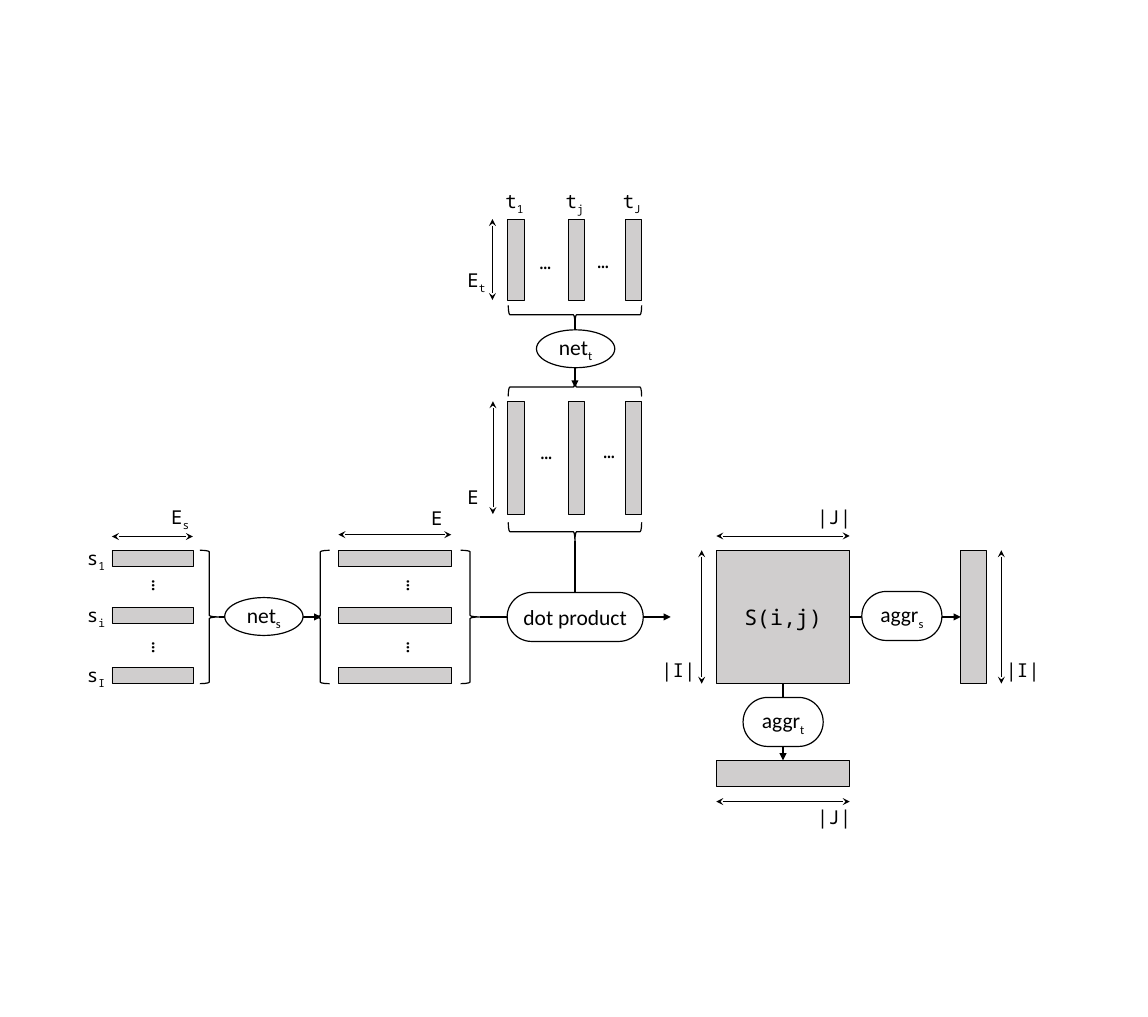
from lxml import etree
from pptx import Presentation
from pptx import util as u
from pptx.dml.color import RGBColor
from pptx.enum import shapes, text
from pptx.oxml import ns

SHAPE = shapes.MSO_SHAPE
BLACK, WHITE, GREY = "000000", "FFFFFF", "D0CECE"
SANS, MONO = "Calibri", "Noto Sans Mono"


def color(value):
    return RGBColor.from_string(value)


class Diagram:
    """Style and current slide; all lengths are in points."""
    label_size, node_size = 16, 18
    thin, normal = 0.5, 1

    def __init__(self, slide):
        self.shapes = slide.shapes

    def runs(self, frame, base, sub, font, size):
        for words, lowered in ((base, False), (sub, True)):
            if words:
                run = frame.paragraphs[0].add_run()
                run.text = words
                run.font.name, run.font.size = font, u.Pt(size)
                run.font.color.rgb = color(BLACK)
                if lowered:
                    run.font._element.set("baseline", "-25000")

    def outline(self, kind, x, y, w, h, fill, weight):
        shape = self.shapes.add_shape(kind, u.Pt(x), u.Pt(y), u.Pt(w), u.Pt(h))
        shape.shadow.inherit = False
        if fill:
            shape.fill.solid()
            shape.fill.fore_color.rgb = color(fill)
        else:
            shape.fill.background()
        shape.line.color.rgb = color(BLACK)
        shape.line.width = u.Pt(weight)
        return shape

    def centred(self, shape, base, sub, font):
        frame = shape.text_frame
        frame.word_wrap = False
        frame.vertical_anchor = text.MSO_ANCHOR.MIDDLE
        frame.paragraphs[0].alignment = text.PP_ALIGN.CENTER
        self.runs(frame, base, sub, font, self.node_size)

    def block(self, x, y, w, h, words=""):
        shape = self.outline(SHAPE.RECTANGLE, x, y, w, h, GREY, self.thin)
        if words:
            self.centred(shape, words, "", MONO)

    def network(self, x, y, sub):
        shape = self.outline(SHAPE.OVAL, x, y, 65.5, 31.7, WHITE, self.normal)
        self.centred(shape, "net", sub, SANS)

    def operation(self, x, y, w, base, sub=""):
        shape = self.outline(SHAPE.ROUNDED_RECTANGLE, x, y, w, 41, WHITE, self.normal)
        shape.adjustments[0] = 0.5
        self.centred(shape, base, sub, SANS)

    def brace(self, cx, cy, turn=0):
        w, h = 15.8, SPAN
        shape = self.outline(SHAPE.RIGHT_BRACE, cx - w / 2, cy - h / 2, w, h, None, self.normal)
        shape.rotation = turn

    def label(self, x, y, base, sub=""):
        width = 14.4 + 9.8 * len(base) + 6.6 * len(sub)
        box = self.shapes.add_textbox(u.Pt(x), u.Pt(y), u.Pt(width), u.Pt(26.6))
        box.text_frame.word_wrap = False
        self.runs(box.text_frame, base, sub, MONO, self.label_size)

    def dots(self, x, y, turn=0):
        box = self.shapes.add_textbox(u.Pt(x), u.Pt(y), u.Pt(23.8), u.Pt(26.6))
        box.text_frame.word_wrap = True
        box.rotation = turn
        self.runs(box.text_frame, "…", "", MONO, self.label_size)

    def line(self, x1, y1, x2, y2, weight=normal, head=None, tail=None):
        link = self.shapes.add_connector(
            shapes.MSO_CONNECTOR.STRAIGHT, u.Pt(x1), u.Pt(y1), u.Pt(x2), u.Pt(y2))
        link.line.color.rgb = color(BLACK)
        link.line.width = u.Pt(weight)
        stroke = link.line._get_or_add_ln()
        for tag, tip in (("a:headEnd", head), ("a:tailEnd", tail)):
            if tip:
                etree.SubElement(stroke, ns.qn(tag), type=tip)
        etree.SubElement(link._element.spPr, ns.qn("a:effectLst"))

    def arrow(self, x1, y1, x2, y2):
        self.line(x1, y1, x2, y2, tail="triangle")

    def measure(self, x1, y1, x2, y2):
        self.line(x1, y1, x2, y2, self.thin, "stealth", "stealth")


deck = Presentation()
deck.slide_width, deck.slide_height = u.Pt(960), u.Pt(850.4)
diagram = Diagram(deck.slides.add_slide(deck.slide_layouts[6]))

# Shared grid
SPAN, BAR, STRIP = 111.6, 13.7, 21.6
RAW, EMBEDDED = 67.7, 94.4
TOP, MATRIX = 460.1, 599
BOTTOM, RIGHT = TOP + SPAN, MATRIX + SPAN
MIDDLE = TOP + SPAN / 2
SOURCE, SOURCE_EMB = 93.6, 283
TARGET, TARGET_TOP, TARGET_EMB_TOP = 424.6, 183.2, 335.5
TARGET_MIDDLE, MATRIX_MIDDLE = 480.8, MATRIX + SPAN / 2
ROWS = [TOP, TOP + 47.5, TOP + 97.9]
COLUMNS = [TARGET, TARGET + 50.4, TARGET + 98.2]

# Flow lines, behind the nodes
diagram.arrow(401, MIDDLE, 560.9, MIDDLE)
diagram.arrow(TARGET_MIDDLE, 267.1, TARGET_MIDDLE, 324)
diagram.arrow(182.9, MIDDLE, 268.6, MIDDLE)
diagram.arrow(RIGHT, MIDDLE, 803.5, MIDDLE)
diagram.arrow(MATRIX_MIDDLE, BOTTOM, MATRIX_MIDDLE, 635.8)
diagram.line(TARGET_MIDDLE, 452.2, TARGET_MIDDLE, 495.4)

# Source rows and target columns, raw and embedded
for row, index in zip(ROWS, "1iI"):
    diagram.label(65.5, row - 6.5, "s", index)
    diagram.block(SOURCE, row, RAW, BAR)
    diagram.block(SOURCE_EMB, row, EMBEDDED, BAR)
for column, index in zip(COLUMNS, "1jJ"):
    diagram.label(column - 9.1, 154.8, "t", index)
    diagram.block(column, TARGET_TOP, BAR, RAW)
    diagram.block(column, TARGET_EMB_TOP, BAR, EMBEDDED)

# Omitted rows and columns
for x in (110.9, 324):
    for y in (476.6, 528):
        diagram.dots(x, y, 270)
for x, y in ((444.2, 205.9), (492.5, 205.2), (445, 364.3), (497.5, 363.6)):
    diagram.dots(x, y)

# Similarity matrix and its aggregates
diagram.block(MATRIX, TOP, SPAN, SPAN, "S(i,j)")
diagram.block(803.2, TOP, STRIP, SPAN)
diagram.block(MATRIX, 635.8, SPAN, STRIP)

# Networks and operations
diagram.network(187.9, 499.7, "s")
diagram.network(448.6, 275.8, "t")
diagram.operation(424.1, 495.4, 113.8, "dot product")
diagram.operation(621.4, 583.2, 67, "aggr", "t")
diagram.operation(720.7, 494.6, 67, "aggr", "s")

# Braces
for x, turn in ((175, 0), (393.1, 0), (267.8, 180)):
    diagram.brace(x, MIDDLE, turn)
for y, turn in ((263.2, 90), (444.6, 90), (323.6, 270)):
    diagram.brace(TARGET_MIDDLE, y, turn)

# Dimensions: horizontal, then vertical
for x, y, length in ((SOURCE, 448.6, RAW), (SOURCE_EMB, 447.1, EMBEDDED),
                     (MATRIX, 448.2, SPAN), (MATRIX, 670.3, SPAN)):
    diagram.measure(x, y, x + length, y)
for x, y, length in ((411.8, TARGET_TOP, RAW), (412.2, TARGET_EMB_TOP, EMBEDDED),
                     (586.8, TOP, SPAN), (837.4, TOP, SPAN)):
    diagram.measure(x, y, x, y + length)
for x, y, base, sub in (
        (136.1, 419, "E", "s"), (353.5, 419.8, "E", ""),
        (383.8, 221, "E", "t"), (383.8, 402.5, "E", ""),
        (676.1, 419, "|J|", ""), (676.1, 669.6, "|J|", ""),
        (545.8, 547.2, "|I|", ""), (833.8, 547.2, "|I|", "")):
    diagram.label(x, y, base, sub)

deck.save("out.pptx")
